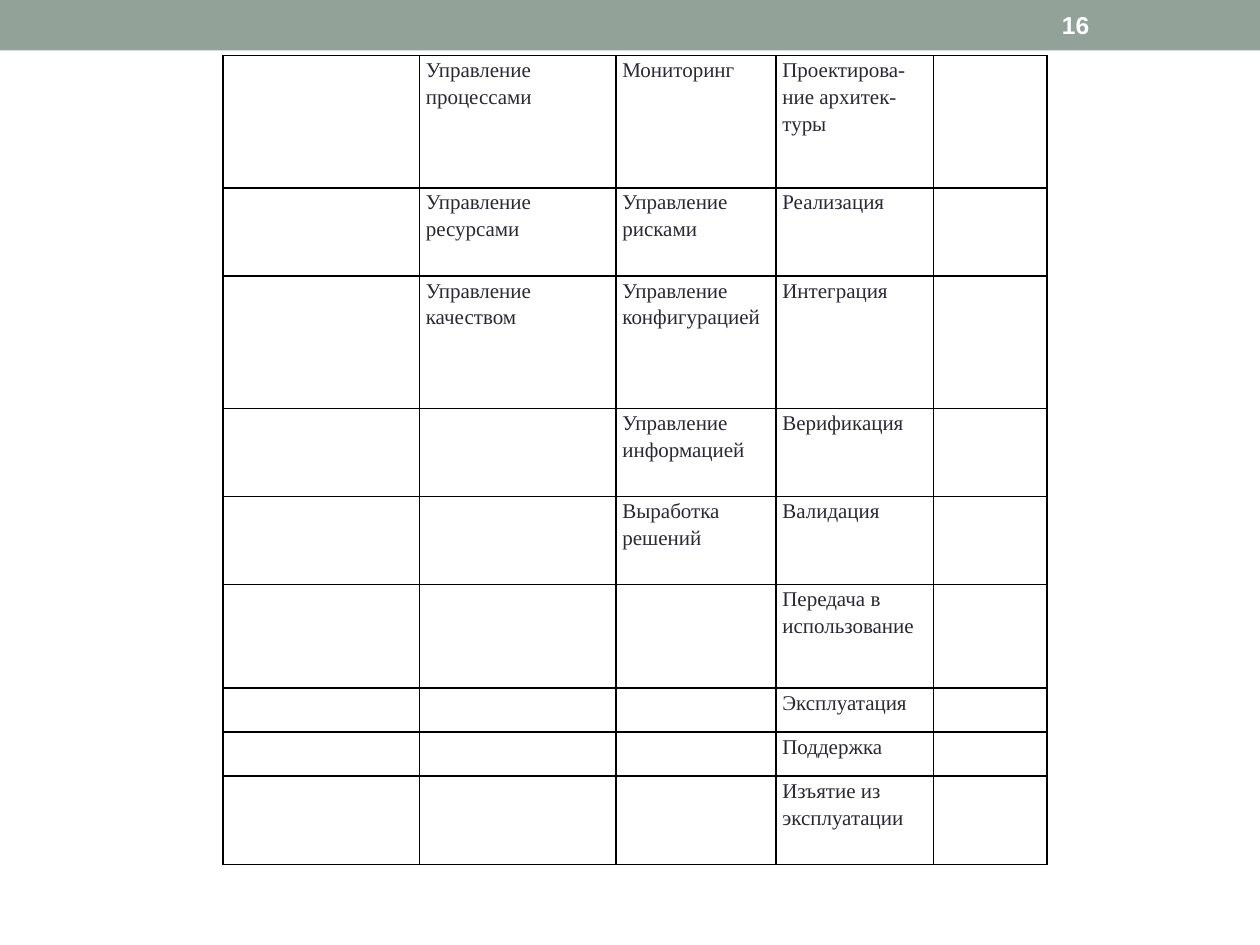
from lxml.etree import SubElement
from pptx import Presentation
from pptx.dml.color import RGBColor
from pptx.enum.shapes import MSO_SHAPE
from pptx.enum.text import MSO_ANCHOR, PP_ALIGN
from pptx.oxml.ns import qn
from pptx.util import Inches, Pt

COLS = [1.56, 1.56, 1.27, 1.25, 0.9]
ROWS = [
    (1.05, ["", "Управление процессами", "Мониторинг", "Проектирова-ние архитек- туры", ""]),
    (0.7, ["", "Управление ресурсами", "Управление рисками", "Реализация", ""]),
    (1.05, ["", "Управление качеством", "Управление конфигурацией", "Интеграция", ""]),
    (0.7, ["", "", "Управление информацией", "Верификация", ""]),
    (0.7, ["", "", "Выработка решений", "Валидация", ""]),
    (0.82, ["", "", "", "Передача в использование", ""]),
    (0.35, ["", "", "", "Эксплуатация", ""]),
    (0.35, ["", "", "", "Поддержка", ""]),
    (0.7, ["", "", "", "Изъятие из эксплуатации", ""]),
]


def rgb(color):
    return RGBColor.from_string(color)


def add_run(p, text, font, size, color, bold=False):
    r = p.add_run()
    r.text = text
    r.font.name = font
    r.font.size = Pt(size)
    r.font.bold = bold
    r.font.color.rgb = rgb(color)


def set_borders(cell, color, width):
    tc_pr = cell._tc.get_or_add_tcPr()
    for side in ("lnL", "lnR", "lnT", "lnB"):
        ln = SubElement(tc_pr, qn(f"a:{side}"), w=str(Pt(width)))
        fill = SubElement(ln, qn("a:solidFill"))
        SubElement(fill, qn("a:srgbClr"), val=color)


def add_header(slide, number):
    sp = slide.shapes.add_shape(MSO_SHAPE.RECTANGLE, 0, 0, Inches(10), Inches(0.4))
    sp.shadow.inherit = False
    sp.fill.solid()
    sp.fill.fore_color.rgb = rgb("93A299")
    sp.line.fill.background()
    box = slide.shapes.add_textbox(Inches(8.33), Inches(0.02), Inches(1.17), Inches(0.36))
    tf = box.text_frame
    tf.word_wrap = True
    tf.vertical_anchor = MSO_ANCHOR.MIDDLE
    p = tf.paragraphs[0]
    p.alignment = PP_ALIGN.LEFT
    add_run(p, number, "Arial", 14, "FFFFFF", True)


def add_processes(slide):
    heights = [height for height, _ in ROWS]
    table = slide.shapes.add_table(
        len(ROWS), len(COLS), Inches(1.77), Inches(0.44),
        Inches(sum(COLS)), Inches(sum(heights))).table
    table.first_row = table.horz_banding = False
    for col, width in zip(table.columns, COLS):
        col.width = Inches(width)
    for row, (height, texts) in zip(table.rows, ROWS):
        row.height = Inches(height)
        for cell, text in zip(row.cells, texts):
            set_borders(cell, "000000", 1)
            cell.fill.background()
            cell.margin_left = cell.margin_right = Inches(0.05)
            cell.margin_top = cell.margin_bottom = 0
            p = cell.text_frame.paragraphs[0]
            p.line_spacing = 1.15
            if text:
                add_run(p, text, "Times New Roman", 12, "292934")


def main():
    """Build the slide with the table of processes."""
    prs = Presentation()
    prs.slide_width, prs.slide_height = Inches(10), Inches(7.5)
    slide = prs.slides.add_slide(prs.slide_layouts[6])
    add_header(slide, "16")
    add_processes(slide)
    prs.save("out.pptx")


if __name__ == "__main__":
    main()
